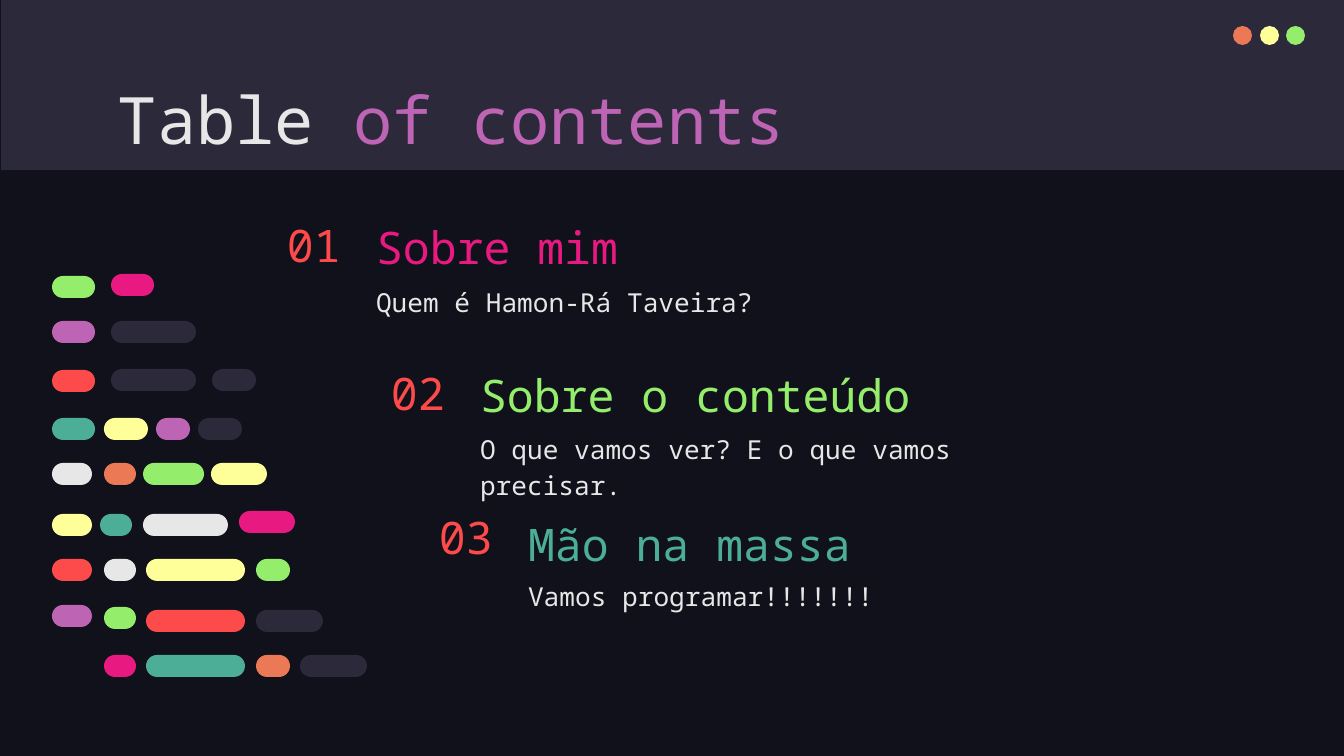
"""Build a code-themed table of contents slide."""
from dataclasses import dataclass

from pptx import Presentation
from pptx.dml.color import RGBColor
from pptx.enum.shapes import MSO_SHAPE
from pptx.enum.text import MSO_ANCHOR, MSO_AUTO_SIZE, PP_ALIGN
from pptx.util import Pt

RECTANGLE, PILL, DOT = MSO_SHAPE.RECTANGLE, MSO_SHAPE.ROUNDED_RECTANGLE, MSO_SHAPE.OVAL
TOP, MIDDLE, BOTTOM = MSO_ANCHOR.TOP, MSO_ANCHOR.MIDDLE, MSO_ANCHOR.BOTTOM
LEFT, NO_AUTOFIT = PP_ALIGN.LEFT, MSO_AUTO_SIZE.NONE

WIDTH, HEIGHT = 1344, 756
SCALE = 9144000 / WIDTH
FONT = "Noto Sans Mono"
COLORS = {
    "night": "10111A", "slate": "2C293A", "white": "E7E7E7", "purple": "BD64B5",
    "red": "FD4A4A", "pink": "E81A81", "green": "94EE6B", "teal": "4CAE97",
    "orange": "EC7955", "yellow": "FFFF99",
}
BAR_HEIGHT = 22
NUMBER_WIDTH, ENTRY_WIDTH, HEADING_HEIGHT, DETAIL_HEIGHT = 89, 618, 71, 85


@dataclass(frozen=True)
class Area:
    left: int
    top: int
    width: int
    height: int

    def emu(self) -> tuple[int, ...]:
        return tuple(px(n) for n in (self.left, self.top, self.width, self.height))


@dataclass(frozen=True)
class Bar:
    left: int
    top: int
    width: int
    color: str


@dataclass(frozen=True)
class Entry:
    left: int
    top: int
    number_height: int
    detail_offset: int
    heading: str
    detail: str
    color: str


@dataclass(frozen=True)
class Span:
    text: str
    size: int
    color: str


BARS = [
    Bar(52, 276, 43, "green"), Bar(111, 274, 43, "pink"),
    Bar(52, 321, 43, "purple"), Bar(111, 321, 85, "slate"),
    Bar(52, 370, 43, "red"), Bar(111, 369, 85, "slate"), Bar(212, 369, 44, "slate"),
    Bar(52, 418, 43, "teal"), Bar(104, 418, 44, "yellow"),
    Bar(156, 418, 34, "purple"), Bar(198, 418, 44, "slate"),
    Bar(52, 463, 40, "white"), Bar(104, 463, 32, "orange"),
    Bar(143, 463, 61, "green"), Bar(211, 463, 56, "yellow"),
    Bar(52, 514, 40, "yellow"), Bar(100, 514, 32, "teal"),
    Bar(143, 514, 85, "white"), Bar(239, 511, 56, "pink"),
    Bar(52, 559, 40, "red"), Bar(104, 559, 32, "white"),
    Bar(146, 559, 99, "yellow"), Bar(256, 559, 34, "green"),
    Bar(52, 605, 40, "purple"), Bar(104, 607, 32, "green"),
    Bar(146, 610, 99, "red"), Bar(256, 610, 67, "slate"),
    Bar(104, 655, 32, "pink"), Bar(146, 655, 99, "teal"),
    Bar(256, 655, 34, "orange"), Bar(300, 655, 67, "slate"),
]
ENTRIES = [
    Entry(363, 216, 58, 53, "Sobre mim", "Quem é Hamon-Rá Taveira?", "pink"),
    Entry(467, 364, 58, 52, "Sobre o conteúdo",
          "O que vamos ver? E o que vamos precisar.", "green"),
    Entry(515, 513, 48, 50, "Mão na massa", "Vamos programar!!!!!!!", "teal"),
]


def px(length: int) -> int:
    return round(length * SCALE)


def rgb(color: str) -> RGBColor:
    return RGBColor.from_string(COLORS[color])


def draw_shape(shapes, kind: MSO_SHAPE, area: Area, color: str):
    shape = shapes.add_shape(kind, *area.emu())
    shape.shadow.inherit = False
    shape.fill.solid()
    shape.fill.fore_color.rgb = rgb(color)
    shape.line.fill.background()
    if kind == PILL:
        shape.adjustments[0] = 0.5
    return shape


def write(box, spans: list[Span], anchor: MSO_ANCHOR, spacing: float = 1.0) -> None:
    frame = box.text_frame
    frame_format = {"word_wrap": True, "auto_size": NO_AUTOFIT, "vertical_anchor": anchor}
    margins = {f"margin_{side}": px(13) for side in ("left", "top", "right", "bottom")}
    for name, value in (frame_format | margins).items():
        setattr(frame, name, value)
    para = frame.paragraphs[0]
    for name, value in {"alignment": LEFT, "line_spacing": spacing}.items():
        setattr(para, name, value)
    for span in spans:
        run = para.add_run()
        run.text = span.text
        for name, value in {"name": FONT, "size": Pt(span.size)}.items():
            setattr(run.font, name, value)
        run.font.color.rgb = rgb(span.color)


def draw_text(page, area: Area, span: Span, anchor: MSO_ANCHOR, spacing: float = 1.0) -> None:
    write(page.shapes.add_textbox(*area.emu()), [span], anchor, spacing)


def draw_header(page) -> None:
    title = page.shapes.title
    title.left, title.top, title.width, title.height = Area(105, 66, 1133, 85).emu()
    write(title, [Span("Table ", 35, "white"), Span("of contents", 35, "purple")], TOP)
    band = draw_shape(page.shapes, RECTANGLE, Area(1, 0, WIDTH - 1, 170), "slate")
    title.element.addprevious(band.element)
    dots = page.shapes.add_group_shape()
    for left, color in ((1233, "orange"), (1260, "yellow"), (1286, "green")):
        draw_shape(dots.shapes, DOT, Area(left, 26, 19, 19), color)


def draw_entry(page, number: int, entry: Entry) -> None:
    left, top = entry.left, entry.top
    draw_text(page, Area(left - NUMBER_WIDTH, top, NUMBER_WIDTH, entry.number_height),
              Span(f"{number:02}", 24, "red"), MIDDLE)
    draw_text(page, Area(left, top, ENTRY_WIDTH, HEADING_HEIGHT),
              Span(entry.heading, 24, entry.color), BOTTOM, 1.15)
    draw_text(page, Area(left, top + entry.detail_offset, ENTRY_WIDTH, DETAIL_HEIGHT),
              Span(entry.detail, 14, "white"), TOP, 1.15)


def draw_code(page) -> None:
    code = page.shapes.add_group_shape()
    for bar in BARS:
        draw_shape(code.shapes, PILL, Area(bar.left, bar.top, bar.width, BAR_HEIGHT), bar.color)


def main() -> None:
    deck = Presentation()
    deck.slide_width, deck.slide_height = px(WIDTH), px(HEIGHT)
    page = deck.slides.add_slide(deck.slide_layouts[5])
    page.background.fill.solid()
    page.background.fill.fore_color.rgb = rgb("night")
    draw_header(page)
    for number, entry in enumerate(ENTRIES, start=1):
        draw_entry(page, number, entry)
    draw_code(page)
    deck.save("out.pptx")


if __name__ == "__main__":
    main()
